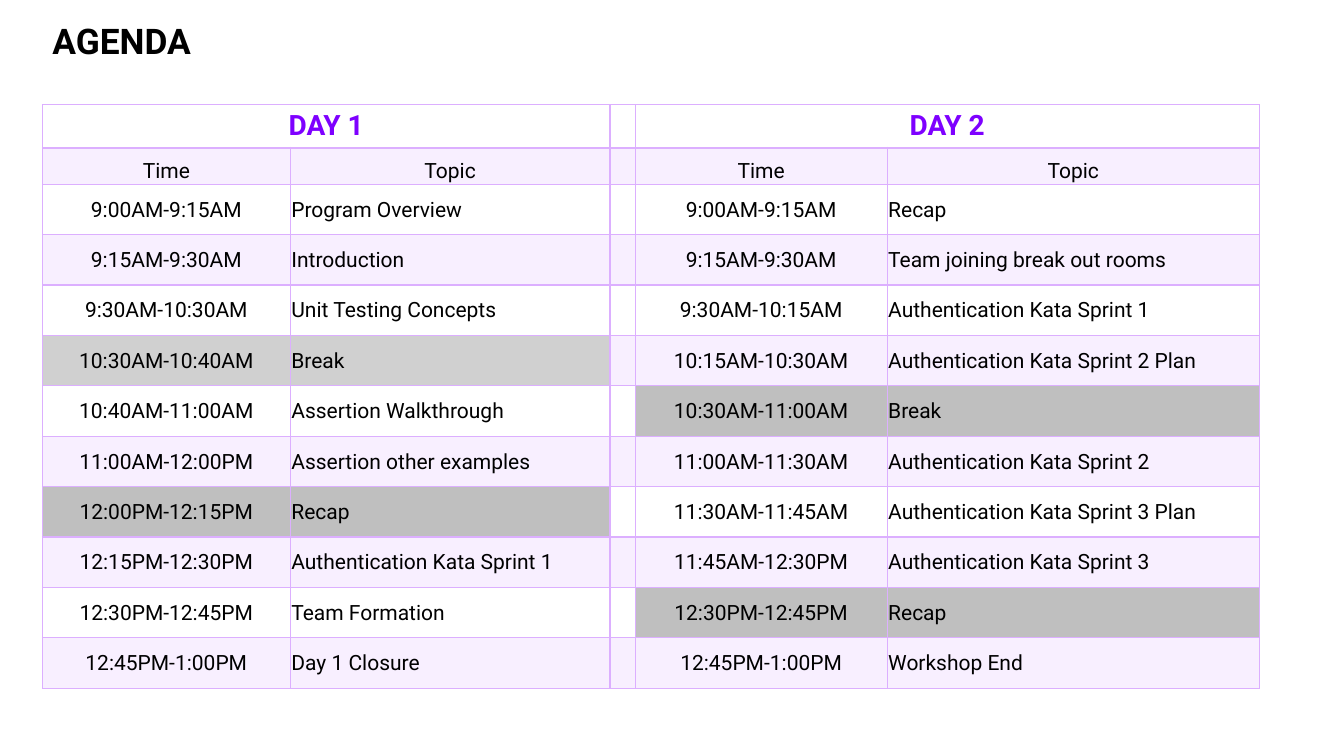
import pptx
import pptx.dml.color
import pptx.enum.text
import pptx.oxml.ns
import pptx.util
from lxml import etree
from pptx.util import Inches, Pt

RGBColor = pptx.dml.color.RGBColor
PP_ALIGN = pptx.enum.text.PP_ALIGN
MSO_ANCHOR = pptx.enum.text.MSO_ANCHOR
qn = pptx.oxml.ns.qn

BLACK = RGBColor(0x00, 0x00, 0x00)
VIOLET = RGBColor(0x7E, 0x00, 0xFF)
LILAC = RGBColor(0xDC, 0xAF, 0xFF)
CHARCOAL = RGBColor(0x18, 0x17, 0x17)
GREY = RGBColor(0xBF, 0xBF, 0xBF)
FONT = "Roboto"

AGENDA = [
    ("DAY 1", "", "", "DAY 2", ""),
    ("Time", "Topic", "", "Time", "Topic"),
    ("9:00AM-9:15AM", "Program Overview", "", "9:00AM-9:15AM", "Recap"),
    ("9:15AM-9:30AM", "Introduction", "", "9:15AM-9:30AM", "Team joining break out rooms"),
    ("9:30AM-10:30AM", "Unit Testing Concepts", "", "9:30AM-10:15AM", "Authentication Kata Sprint 1"),
    ("10:30AM-10:40AM", "Break", "", "10:15AM-10:30AM", "Authentication Kata Sprint 2 Plan"),
    ("10:40AM-11:00AM", "Assertion Walkthrough", "", "10:30AM-11:00AM", "Break"),
    ("11:00AM-12:00PM", "Assertion other examples", "", "11:00AM-11:30AM", "Authentication Kata Sprint 2"),
    ("12:00PM-12:15PM", "Recap", "", "11:30AM-11:45AM", "Authentication Kata Sprint 3 Plan"),
    ("12:15PM-12:30PM", "Authentication Kata Sprint 1", "", "11:45AM-12:30PM", "Authentication Kata Sprint 3"),
    ("12:30PM-12:45PM", "Team Formation", "", "12:30PM-12:45PM", "Recap"),
    ("12:45PM-1:00PM", "Day 1 Closure", "", "12:45PM-1:00PM", "Workshop End"),
]
COLUMN_WIDTHS = [2.46, 3.17, 0.25, 2.5, 3.69]
ROW_HEIGHTS = [0.41, 0.36] + [0.5] * 10
DAY_STARTS = (0, 3)
# (row, first column of the day): colour and opacity in percent
PAUSES = {(5, 0): (CHARCOAL, 20), (6, 3): (GREY, 100),
          (8, 0): (GREY, 100), (10, 3): (GREY, 100)}


def fill_cell(cell, color, opacity):
    cell.fill.solid()
    cell.fill.fore_color.rgb = color
    if opacity < 100:
        tint = cell._tc.tcPr.find(qn("a:solidFill"))[0]
        etree.SubElement(tint, qn("a:alpha"), val=str(opacity * 1000))


def draw_borders(cell, top, bottom):
    """Line all four sides in lilac; top and bottom widths are in points."""
    sides = [("a:lnL", 1), ("a:lnR", 1), ("a:lnT", top), ("a:lnB", bottom)]
    for position, (side, width) in enumerate(sides):
        border = etree.Element(qn(side), w=str(Pt(width)))
        line_fill = etree.SubElement(border, qn("a:solidFill"))
        etree.SubElement(line_fill, qn("a:srgbClr"), val=str(LILAC))
        cell._tc.get_or_add_tcPr().insert(position, border)


presentation = pptx.Presentation()
presentation.slide_width = Inches(13.33)
presentation.slide_height = Inches(7.5)
slide = presentation.slides.add_slide(presentation.slide_layouts[5])

title = slide.shapes.title
title.left, title.top = Inches(0.42), Inches(0.17)
title.width, title.height = Inches(11.79), Inches(0.51)
title.text_frame.text = "AGENDA"
title.text_frame.auto_size = pptx.enum.text.MSO_AUTO_SIZE.NONE
title.text_frame.vertical_anchor = MSO_ANCHOR.MIDDLE
heading = title.text_frame.paragraphs[0]
heading.alignment = PP_ALIGN.LEFT
heading.line_spacing = 0.9
heading_font = heading.runs[0].font
heading_font.name, heading_font.size, heading_font.bold = FONT, Pt(25.2), True
heading_font.color.rgb = BLACK

schedule = slide.shapes.add_table(
    len(AGENDA), len(COLUMN_WIDTHS), Inches(0.42), Inches(1.04),
    Inches(sum(COLUMN_WIDTHS)), Inches(sum(ROW_HEIGHTS))).table
schedule.first_row = False
schedule.horz_banding = False
for column, width in zip(schedule.columns, COLUMN_WIDTHS):
    column.width = Inches(width)
for row, height in zip(schedule.rows, ROW_HEIGHTS):
    row.height = Inches(height)
for start in DAY_STARTS:
    schedule.cell(0, start).merge(schedule.cell(0, start + 1))

for row, entries in enumerate(AGENDA):
    for column, entry in enumerate(entries):
        cell = schedule.cell(row, column)
        day_start = 3 if column >= 3 else 0
        if column != 2 and (row, day_start) in PAUSES:
            fill_cell(cell, *PAUSES[row, day_start])
        elif row % 2:
            fill_cell(cell, LILAC, 20)
        else:
            cell.fill.background()
        draw_borders(cell, top=2 if row == 1 else 1, bottom=2 if row == 0 else 1)

        if row > 0:
            cell.margin_left = cell.margin_right = cell.margin_top = Inches(0.01)
            cell.margin_bottom = 0
            cell.vertical_anchor = MSO_ANCHOR.BOTTOM if row == 1 else MSO_ANCHOR.MIDDLE
        if not entry:
            continue
        cell.text_frame.text = entry
        paragraph = cell.text_frame.paragraphs[0]
        centred = row < 2 or column in DAY_STARTS
        paragraph.alignment = PP_ALIGN.CENTER if centred else PP_ALIGN.LEFT
        font = paragraph.runs[0].font
        font.name = FONT
        font.size = Pt(20 if row == 0 else 15)
        font.bold = row == 0
        font.color.rgb = VIOLET if row == 0 else BLACK

presentation.save("out.pptx")
